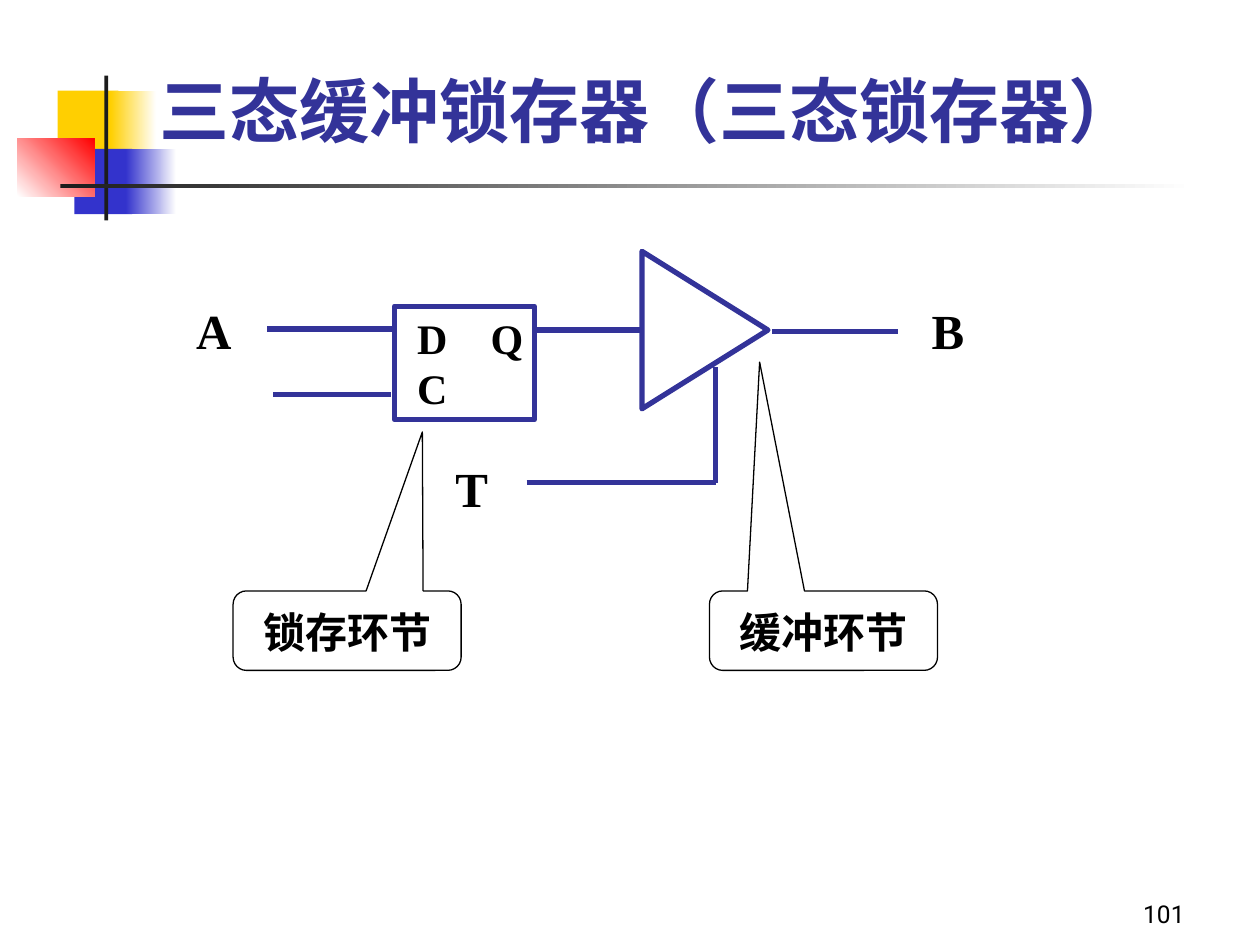
import pptx
import pptx.util
import pptx.dml.color
import pptx.enum.shapes
import pptx.enum.text
import lxml.etree

Pt = pptx.util.Pt
RGB = pptx.dml.color.RGBColor
KIND = pptx.enum.shapes.MSO_SHAPE
ALIGN = pptx.enum.text.PP_ALIGN
ANCHOR = pptx.enum.text.MSO_ANCHOR
FIT = pptx.enum.text.MSO_AUTO_SIZE

GOLD = RGB(0xFF, 0xCF, 0x01)
BLUE = RGB(0x33, 0x33, 0xCC)
RED = RGB(0xFF, 0, 0)
DARK = RGB(0x1C, 0x1C, 0x1C)
NAVY = RGB(0x33, 0x33, 0x99)
BLACK = RGB(0, 0, 0)
WHITE = RGB(0xFF, 0xFF, 0xFF)
SERIF = "Times New Roman"


def set_font(para, size, color=BLACK, name=SERIF, bold=True):
    font = para.font
    font.size, font.name, font.bold = Pt(size), name, bold
    font.color.rgb = color


def add_form(slide, kind, x, y, w, h):
    form = slide.shapes.add_shape(kind, Pt(x), Pt(y), Pt(w), Pt(h))
    form.shadow.inherit = False
    return form


def set_line(form, color, width):
    form.line.color.rgb = color
    form.line.width = Pt(width)


def add_text(slide, x, y, w, h, text, align, anchor):
    box = slide.shapes.add_textbox(Pt(x), Pt(y), Pt(w), Pt(h))
    frame = box.text_frame
    frame.word_wrap = True
    frame.vertical_anchor = anchor
    para = frame.paragraphs[0]
    para.text, para.alignment = text, align
    return para


def add_wire(slide, x1, y1, x2, y2):
    wire = slide.shapes.add_connector(
        pptx.enum.shapes.MSO_CONNECTOR.STRAIGHT, Pt(x1), Pt(y1), Pt(x2), Pt(y2))
    set_line(wire, NAVY, 3)
    lxml.etree.SubElement(wire.element.spPr, pptx.oxml.ns.qn("a:effectLst"))


def add_emblem(slide, left, top):
    parts = [
        (23, 8.6, 34.6, 37.4, GOLD, GOLD, 0),
        (53.3, 8.6, 26, 37.4, GOLD, WHITE, 0),
        (32.5, 41.8, 33.1, 37.4, BLUE, BLUE, 0),
        (62, 41.8, 28.8, 37.4, BLUE, WHITE, 0),
        (0, 36, 44, 33.1, WHITE, RED, 45),
        (49.7, 0, 2.2, 82.8, DARK, DARK, 0),
        (24.5, 61.9, 648, 2.5, DARK, WHITE, 0),
    ]
    for x, y, w, h, start, end, angle in parts:
        part = add_form(slide, KIND.RECTANGLE, left + x, top + y, w, h)
        part.line.fill.background()
        if start == end:
            part.fill.solid()
            part.fill.fore_color.rgb = start
        else:
            part.fill.gradient()
            part.fill.gradient_angle = angle
            for stop, color in zip(part.fill.gradient_stops, (start, end)):
                stop.color.rgb = color


def set_title(slide, x, y, w, h):
    title = slide.shapes.title
    title.left, title.top, title.width, title.height = Pt(x), Pt(y), Pt(w), Pt(h)
    frame = title.text_frame
    frame.text = "三态缓冲锁存器（三态锁存器）"
    frame.auto_size = FIT.NONE
    frame.vertical_anchor = ANCHOR.BOTTOM
    para = frame.paragraphs[0]
    para.alignment = ALIGN.LEFT
    set_font(para, 40, NAVY)


def add_latch(slide, x, y, w, h):
    latch = add_form(slide, KIND.RECTANGLE, x, y, w, h)
    latch.fill.background()
    set_line(latch, NAVY, 3)
    frame = latch.text_frame
    frame.word_wrap = True
    frame.margin_left, frame.margin_right = Pt(13), 0
    frame.vertical_anchor = ANCHOR.MIDDLE
    frame.text = "D\tQ\nC"
    props = frame.paragraphs[0]._p.get_or_add_pPr()
    tabs = lxml.etree.SubElement(props, pptx.oxml.ns.qn("a:tabLst"))
    lxml.etree.SubElement(tabs, pptx.oxml.ns.qn("a:tab"),
                          pos=str(int(Pt(42))), algn="l")
    for para in frame.paragraphs:
        para.alignment = ALIGN.LEFT
        set_font(para, 24)


def add_circuit(slide, left, top):
    gate = add_form(slide, KIND.FLOWCHART_EXTRACT, left + 252.8, top + 8.6, 90, 72)
    gate.rotation = 90
    gate.fill.background()
    set_line(gate, NAVY, 3)
    add_latch(slide, left + 120.4, top + 31, 80, 64.8)
    wires = [
        (47.6, 44, 119.6, 44),
        (51.2, 81.4, 118.2, 81.4),
        (201, 44.6, 260.8, 44.6),
        (336.4, 45.4, 408.4, 45.4),
        (196, 131.8, 304, 131.8),
        (304, 131.8, 304, 65.5),
    ]
    for x1, y1, x2, y2 in wires:
        add_wire(slide, left + x1, top + y1, left + x2, top + y2)
    for text, x, y in [("A", 0, 23.8), ("B", 419.6, 23.8), ("T", 147.5, 114.5)]:
        para = add_text(slide, left + x, top + y, 34, 41, text,
                        ALIGN.CENTER, ANCHOR.MIDDLE)
        set_font(para, 28)


def add_note(slide, x, y, text, tip):
    note = add_form(slide, KIND.ROUNDED_RECTANGULAR_CALLOUT, x, y, 130.3, 45.4)
    note.adjustments[0], note.adjustments[1] = tip
    note.fill.solid()
    note.fill.fore_color.rgb = WHITE
    set_line(note, BLACK, 0.75)
    frame = note.text_frame
    frame.vertical_anchor = ANCHOR.TOP
    para = frame.paragraphs[0]
    para.text, para.alignment, para.line_spacing = text, ALIGN.CENTER, 1.1
    set_font(para, 24, name="Arial")


def add_number(slide, x, y, w, h):
    para = add_text(slide, x, y, w, h, "101", ALIGN.RIGHT, ANCHOR.BOTTOM)
    set_font(para, 14, name="Roboto", bold=False)


def main():
    deck = pptx.Presentation()
    deck.slide_width, deck.slide_height = Pt(720), Pt(540)
    slide = deck.slides.add_slide(deck.slide_layouts[5])
    add_emblem(slide, 10, 43.2)
    set_title(slide, 84.2, 23.8, 613.4, 66.2)
    add_circuit(slide, 105, 144)
    add_note(slide, 133.2, 337.7, "锁存环节", (0.33, -2.5))
    add_note(slide, 405.4, 337.7, "缓冲环节", (-0.28, -3.38))
    add_number(slide, 534.2, 498.2, 149.8, 36)
    deck.save("out.pptx")


if __name__ == "__main__":
    main()
